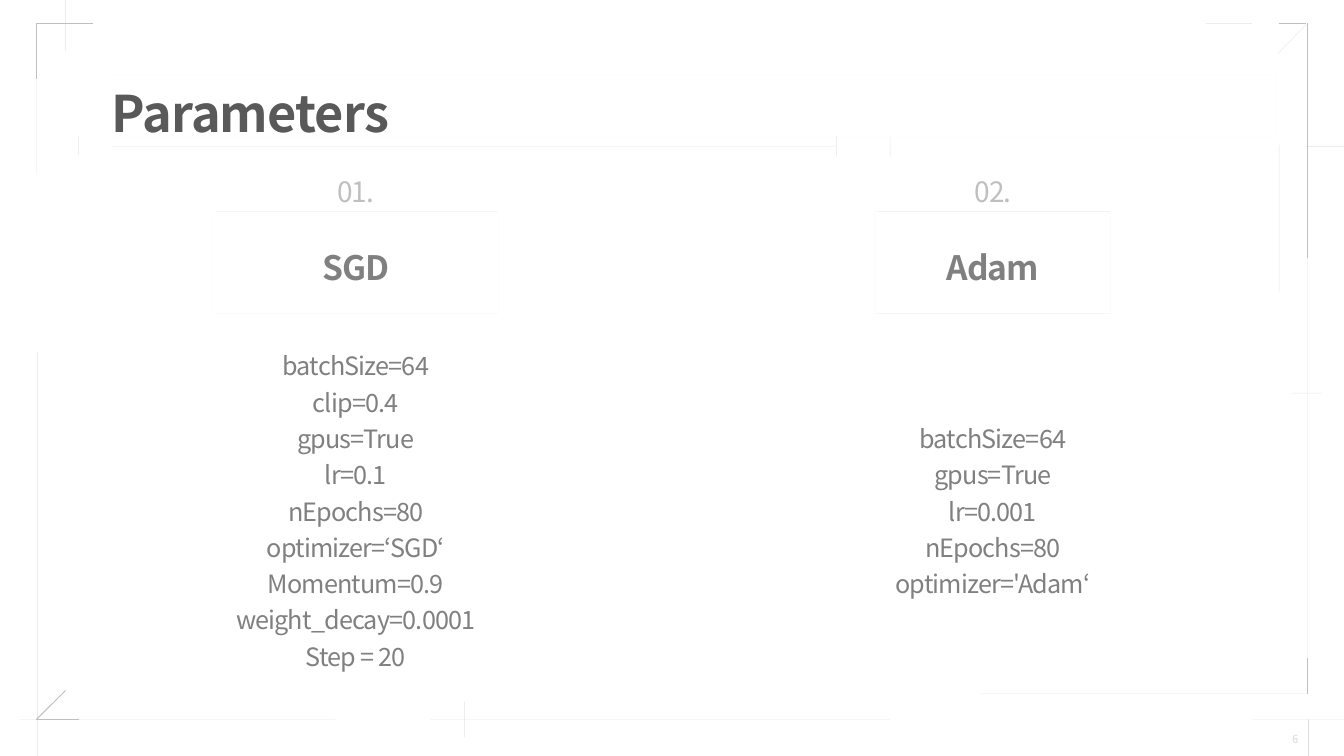
import pptx
import pptx.util
import pptx.dml.color
import pptx.enum.shapes
import pptx.enum.text
import pptx.oxml
import pptx.oxml.ns

Pt = pptx.util.Pt
RGBColor = pptx.dml.color.RGBColor
Align = pptx.enum.text.PP_ALIGN
qn = pptx.oxml.ns.qn

FONT = "Noto Sans CJK KR"
TITLE_GREY = RGBColor(0x59, 0x59, 0x59)
TEXT_GREY = RGBColor(0x80, 0x80, 0x80)
CORNER_GREY = RGBColor(0xBF, 0xBF, 0xBF)
PALE_GREY = RGBColor(0xD9, 0xD9, 0xD9)

# Frame lines as x1, y1, x2, y2
CORNER_LINES = [
    (913.7, 16.6, 933.1, 16.6), (933.8, 16.6, 933.8, 184.3),
    (66.2, 16.6, 25.9, 16.6), (25.9, 56.2, 25.9, 16.6),
    (46.8, 493.2, 25.9, 514.1), (25.9, 514.1, 56.2, 514.1),
    (933.8, 470.2, 933.8, 495.4),
]
# Hairlines by opacity in percent
HAIRLINES = {
    41: [
        (26.6, 251.3, 26.6, 540), (861.1, 16.6, 894.2, 16.6),
        (933.1, 104.4, 960, 104.4), (934.6, 514.1, 934.6, 540),
        (46.8, 0, 46.8, 36),
    ],
    20: [
        (13.7, 514.1, 239.8, 514.1), (307.4, 514.1, 635.8, 514.1),
        (894.2, 514.1, 960, 514.1), (331.9, 501.1, 331.9, 526.3),
        (25.9, 16.6, 25.9, 123.8), (933.8, 141.8, 933.8, 482.4),
        (933.1, 17.3, 913, 38.2), (913.7, 103.7, 913.7, 208.8),
        (79.9, 104.4, 596.9, 104.4), (56.2, 97.2, 56.2, 110.2),
        (597.6, 97.2, 597.6, 111.6), (635.8, 97.9, 635.8, 112.3),
        (934.6, 495.4, 699.8, 495.4), (943.9, 280.8, 922.3, 280.8),
    ],
    15: [(933.8, 17.3, 933.8, 47.5)],
}

SGD_PARAMETERS = [
    "batchSize=64", "clip=0.4", "gpus=True", "lr=0.1", "nEpochs=80",
    "optimizer=‘SGD‘", "Momentum=0.9", "weight_decay=0.0001", "Step = 20",
]
ADAM_PARAMETERS = [
    "batchSize=64", "gpus=True", "lr=0.001", "nEpochs=80", "optimizer='Adam‘",
]


def style_line(line, color, width, opacity):
    line.color.rgb = color
    line.width = Pt(width)
    if opacity < 100:
        fill = line.fill._xPr.find(qn("a:solidFill"))
        alpha = pptx.oxml.parse_xml(
            '<a:alpha xmlns:a="http://schemas.openxmlformats.org/drawingml/2006/main"'
            f' val="{opacity * 1000}"/>')
        fill[0].append(alpha)


def add_line(slide, ends, color=TEXT_GREY, width=0.25, opacity=100):
    connector = slide.shapes.add_connector(
        pptx.enum.shapes.MSO_CONNECTOR.STRAIGHT, *(Pt(v) for v in ends))
    style_line(connector.line, color, width, opacity)
    properties = connector._element.spPr
    properties.append(properties.makeelement(qn("a:effectLst"), {}))


def write(shape, lines, size, color, align, bold=False):
    frame = shape.text_frame
    frame.word_wrap = True
    frame.vertical_anchor = pptx.enum.text.MSO_ANCHOR.MIDDLE
    frame.margin_left = frame.margin_right = 0
    frame.margin_top = frame.margin_bottom = 0
    frame.text = "\n".join(lines)
    for paragraph in frame.paragraphs:
        paragraph.alignment = align
        paragraph.line_spacing = 1.2
        for run in paragraph.runs:
            run.font.size = Pt(size)
            run.font.bold = bold
            run.font.name = FONT
            run.font.color.rgb = color
            properties = run._r.get_or_add_rPr()
            properties.set("spc", "-60")
            properties.append(properties.makeelement(qn("a:ea"), {"typeface": FONT}))


def add_text(slide, box, *text_style):
    write(slide.shapes.add_textbox(*(Pt(v) for v in box)), *text_style)


def add_outlined_text(slide, box, outline, *text_style):
    panel = slide.shapes.add_shape(
        pptx.enum.shapes.MSO_SHAPE.RECTANGLE, *(Pt(v) for v in box))
    panel.shadow.inherit = False
    panel.fill.background()
    style_line(panel.line, outline, 0.25, 5)
    write(panel, *text_style)


def draw_frame(slide):
    for opacity, lines in HAIRLINES.items():
        for ends in lines:
            add_line(slide, ends, opacity=opacity)
    for ends in CORNER_LINES:
        add_line(slide, ends, CORNER_GREY, 0.75)


def draw_optimizer(slide, box, number, name, heading_width, outline, parameters):
    left, top, width, height = box
    heading_left = left + (width - heading_width) / 2
    heading_top, heading_height = top + 28.1, 72.7

    # Number and heading
    add_outlined_text(slide, (heading_left, heading_top, heading_width, heading_height),
                      outline, [name], 24, TEXT_GREY, Align.CENTER, True)
    add_text(slide, (heading_left, top, heading_width, 22.3),
             [number], 20, CORNER_GREY, Align.CENTER)
    for y in (heading_top, heading_top + heading_height):
        add_line(slide, (heading_left + heading_width - 0.7, y, heading_left + 2.2, y),
                 opacity=10)

    # Parameter list
    list_offset = 115.2
    add_text(slide, (left, top + list_offset, width, height - list_offset),
             parameters, 18, TEXT_GREY, Align.CENTER)


def main():
    presentation = pptx.Presentation()
    presentation.slide_width = Pt(960)
    presentation.slide_height = Pt(540)
    slide = presentation.slides.add_slide(presentation.slide_layouts[6])

    draw_frame(slide)

    # Title and page number
    add_outlined_text(slide, (79.9, 53.3, 832.3, 44.6), PALE_GREY,
                      ["Parameters"], 36, TITLE_GREY, Align.LEFT, True)
    add_text(slide, (904.3, 519.1, 23, 15.8), ["6"], 8, PALE_GREY, Align.RIGHT)

    # Optimizer columns
    draw_optimizer(slide, (115.9, 123.1, 276.5, 364.3), "01.", "SGD", 203.8,
                   PALE_GREY, SGD_PARAMETERS)
    draw_optimizer(slide, (571, 123.1, 276.5, 364.3), "02.", "Adam", 168.5,
                   TITLE_GREY, ADAM_PARAMETERS)

    presentation.save("out.pptx")


if __name__ == "__main__":
    main()
